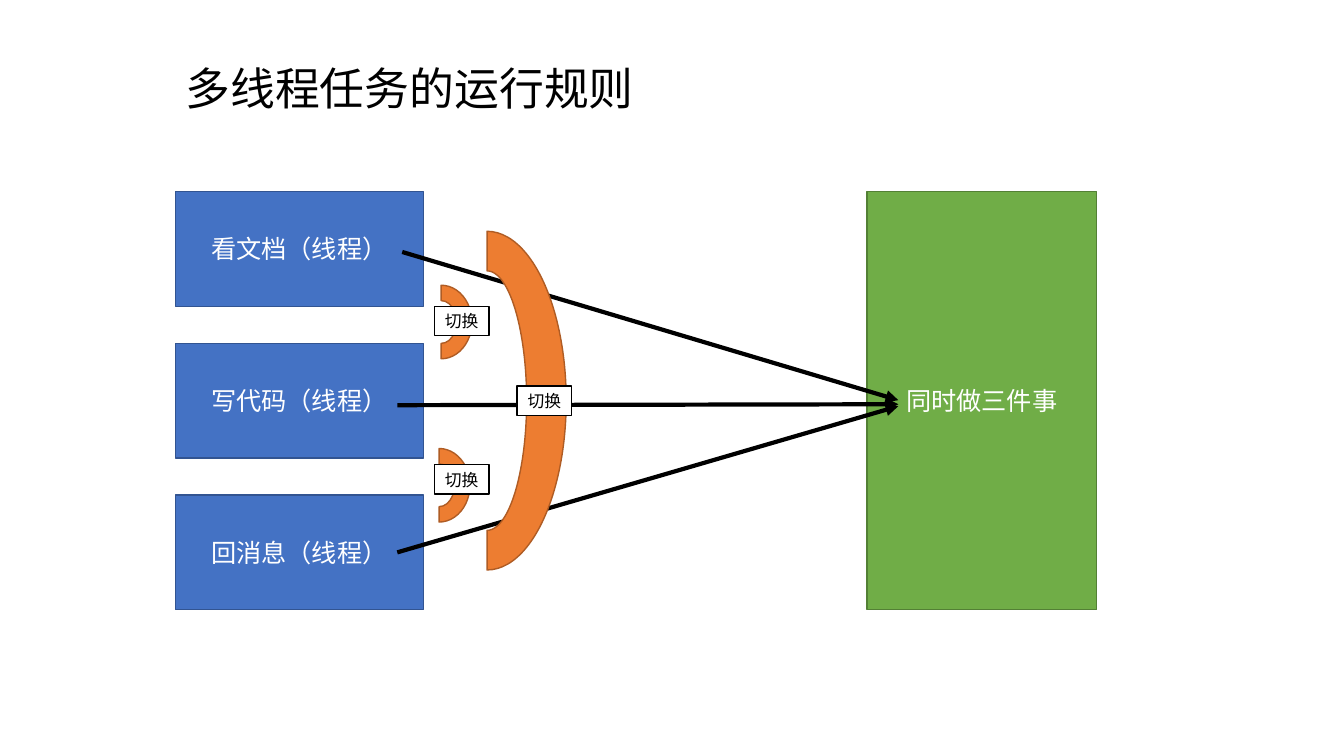
from lxml.etree import SubElement as Sub
from pptx import Presentation
from pptx.dml.color import RGBColor
from pptx.enum.shapes import MSO_CONNECTOR as Link, MSO_SHAPE as Form
from pptx.enum.text import MSO_ANCHOR as Anchor, MSO_AUTO_SIZE as Fit, PP_ALIGN as Align
from pptx.oxml.ns import qn
from pptx.util import Inches, Pt


def tint(code):
    return RGBColor.from_string(code)


class Board:
    """Style and current slide; lengths are percent of the slide's size."""
    face = "Noto Sans CJK SC"
    frame = dict(margin_left=0, margin_right=0, margin_top=0, margin_bottom=0,
                 word_wrap=True, vertical_anchor=Anchor.MIDDLE, auto_size=Fit.NONE)

    def __init__(self, deck):
        self.wide, self.high = deck.slide_width, deck.slide_height
        self.slide = deck.slides.add_slide(deck.slide_layouts[5])

    def span(self, x, y):
        return round(self.wide * x / 100), round(self.high * y / 100)

    def label(self, shape, text, size, color, align=Align.CENTER, **extra):
        frame = shape.text_frame
        for key, val in {**self.frame, **extra}.items():
            setattr(frame, key, val)
        para = frame.paragraphs[0]
        para.alignment = align
        run = para.add_run()
        run.text = text
        for key, val in dict(name=self.face, size=Pt(size), bold=False).items():
            setattr(run.font, key, val)
        run.font.color.rgb = tint(color)
        Sub(run.font._element, qn("a:ea"), typeface=self.face)

    def title(self, text, x, y, w, h):
        head = self.slide.shapes.title
        head.left, head.top = self.span(x, y)
        head.width, head.height = self.span(w, h)
        self.label(head, text, 32, "000000", Align.LEFT, margin_left=Inches(0.1))

    def shape(self, form, spot, size, fill, edge):
        item = self.slide.shapes.add_shape(form, *spot, *size)
        item.shadow.inherit = False
        item.fill.solid()
        item.fill.fore_color.rgb = tint(fill)
        item.line.color.rgb = tint(edge)
        item.line.width = Pt(1)
        return item

    def box(self, text, x, y, w, h, fill, edge, size=18, color="FFFFFF"):
        item = self.shape(Form.RECTANGLE, self.span(x, y), self.span(w, h), fill, edge)
        self.label(item, text, size, color)

    def arc(self, x, y, w, h):
        # A quarter turn swaps width and height about the centre
        (left, top), (wide, high) = self.span(x, y), self.span(w, h)
        gap = (high - wide) // 2
        item = self.shape(Form.BLOCK_ARC, (left - gap, top + gap), (high, wide),
                          "ED7D31", "AF5C24")
        item.rotation = 90

    def arrow(self, start, end):
        link = self.slide.shapes.add_connector(
            Link.STRAIGHT, *self.span(*start), *self.span(*end))
        link.line.color.rgb = tint("000000")
        link.line.width = Pt(3)
        props = link._element.spPr
        Sub(props.find(qn("a:ln")), qn("a:tailEnd"), type="triangle")
        Sub(props, qn("a:effectLst"))


def main():
    deck = Presentation()
    deck.slide_width, deck.slide_height = Inches(13.33), Inches(7.5)
    board = Board(deck)
    left, top, tall, step = 13.05, 25.33, 15.2, 20.07

    board.title("多线程任务的运行规则", left, 7.33, 36.38, 8.53)

    # Threads and the shared result
    tasks = ["看文档", "写代码", "回消息"]
    for row, task in enumerate(tasks):
        board.box(f"{task}（线程）", left, top + row * step, 18.45, tall,
                  "4472C4", "325491")
    board.box("同时做三件事", 64.5, top, 17.1, 2 * step + tall, "70AD47", "538035")

    # Arrows to the result
    for x, y, goal in [(29.93, 33.33, 52.93), (29.56, 53.6, 53.47), (29.56, 73.07, 53.73)]:
        board.arrow((x, y), (66.84, goal))

    # Switches between threads
    for x, y, w, h in [(30.53, 37.73, 4.58, 9.73), (30.38, 59.33, 4.58, 9.73),
                       (30.35, 30.6, 11.78, 44.8)]:
        board.arc(x, y, w, h)
    for x, y in [(32.33, 40.53), (32.33, 61.47), (38.48, 51.07)]:
        board.box("切换", x, y, 4.05, 3.87, "FFFFFF", "000000", 12, "000000")

    deck.save("out.pptx")


if __name__ == "__main__":
    main()
